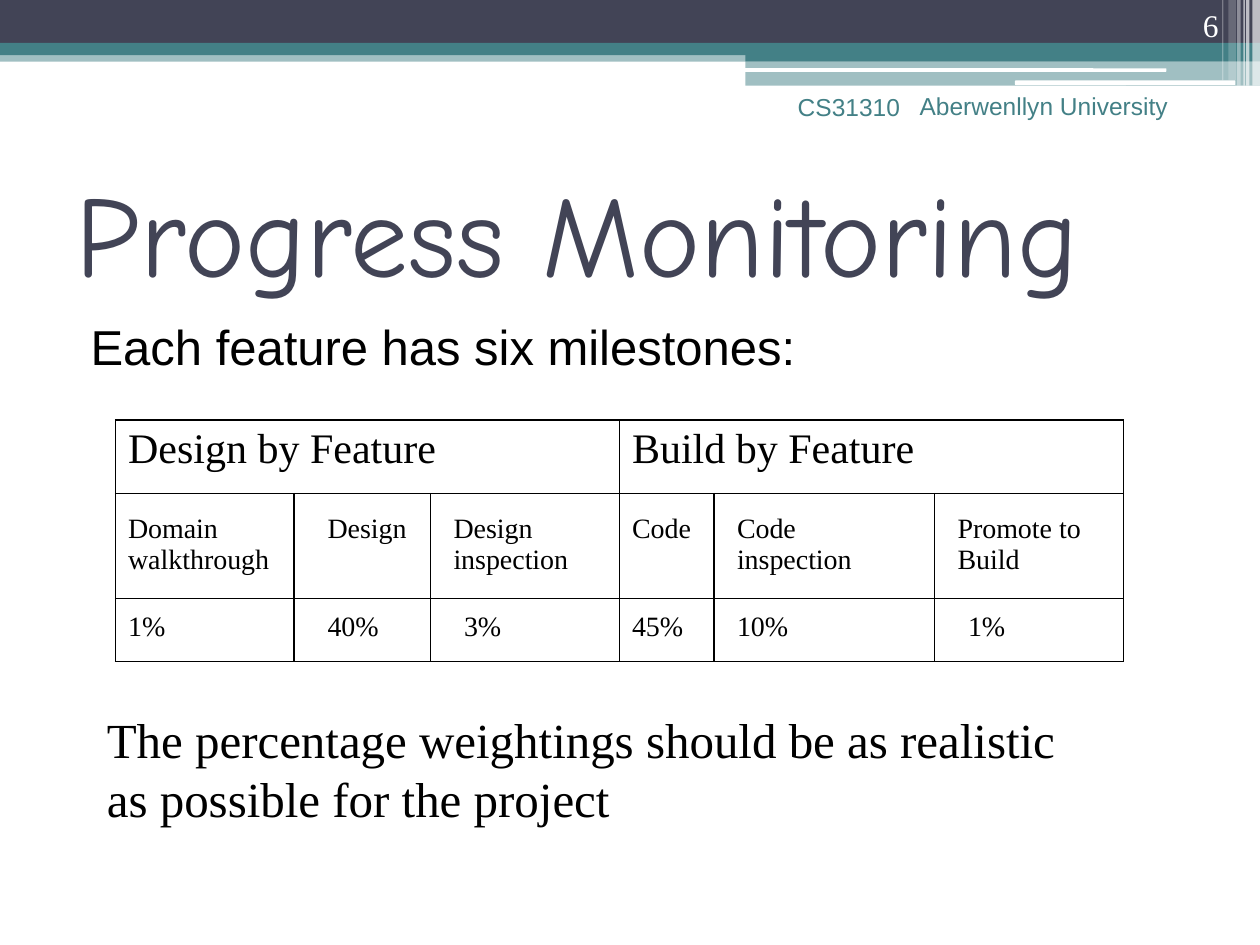
from lxml import etree
from pptx import Presentation
from pptx.dml.color import RGBColor
from pptx.enum.shapes import MSO_SHAPE
from pptx.enum.text import MSO_ANCHOR, MSO_AUTO_SIZE, PP_ALIGN
from pptx.oxml.ns import qn
from pptx.util import Pt

RECTANGLE, ROUNDED = MSO_SHAPE.RECTANGLE, MSO_SHAPE.ROUNDED_RECTANGLE
TOP, MIDDLE, BOTTOM = MSO_ANCHOR.TOP, MSO_ANCHOR.MIDDLE, MSO_ANCHOR.BOTTOM
LEFT, RIGHT = PP_ALIGN.LEFT, PP_ALIGN.RIGHT
NO_AUTOFIT = MSO_AUTO_SIZE.NONE

NAVY = RGBColor(0x42, 0x44, 0x56)
TEAL = RGBColor(0x43, 0x80, 0x86)
WHITE = RGBColor(0xFF, 0xFF, 0xFF)
BLACK = RGBColor(0x00, 0x00, 0x00)

SANS, SERIF, HAND = "Arial", "Times New Roman", "Comic Neue"


class SlideBuilder:
    """Draws styled elements on one slide, with all lengths in points."""

    def __init__(self, slide):
        self.slide = slide

    def place(self, shape, box):
        shape.left, shape.top, shape.width, shape.height = map(Pt, box)

    def style_text(self, frame, text, size, font, color, align=LEFT, anchor=TOP):
        frame.text = text
        frame.word_wrap = True
        frame.vertical_anchor = anchor
        paragraph = frame.paragraphs[0]
        paragraph.alignment = align
        for run in paragraph.runs:
            run.font.size = Pt(size)
            run.font.name = font
            run.font.color.rgb = color
        return paragraph

    def band(self, box, color, opacity=100, kind=RECTANGLE):
        shape = self.slide.shapes.add_shape(kind, *map(Pt, box))
        shape.shadow.inherit = False
        shape.line.fill.background()
        shape.fill.solid()
        shape.fill.fore_color.rgb = color
        if opacity < 100:
            fill_color = shape._element.spPr.find(".//" + qn("a:srgbClr"))
            etree.SubElement(fill_color, qn("a:alpha"), val=str(opacity * 1000))

    def text(self, box, text, size, font, color, **layout):
        shape = self.slide.shapes.add_textbox(*map(Pt, box))
        self.style_text(shape.text_frame, text, size, font, color, **layout)

    def title(self, box, text):
        shape = self.slide.shapes.title
        self.place(shape, box)
        self.style_text(shape.text_frame, text, 66, HAND, NAVY, anchor=MIDDLE)
        shape.text_frame.auto_size = NO_AUTOFIT

    def body(self, box, text):
        shape = self.slide.placeholders[1]
        self.place(shape, box)
        paragraph = self.style_text(shape.text_frame, text, 28, SANS, BLACK)
        shape.text_frame.auto_size = NO_AUTOFIT
        paragraph.space_before = Pt(12)
        properties = paragraph._p.get_or_add_pPr()
        properties.set("marL", str(Pt(28.8)))
        properties.set("indent", str(Pt(-20.2)))
        etree.SubElement(properties, qn("a:buNone"))

    def border(self, cell):
        properties = cell._tc.get_or_add_tcPr()
        for position, side in enumerate(("lnL", "lnR", "lnT", "lnB")):
            line = etree.Element(qn("a:" + side), w=str(Pt(0.75)))
            fill = etree.SubElement(line, qn("a:solidFill"))
            etree.SubElement(fill, qn("a:srgbClr"), val=str(BLACK))
            properties.insert(position, line)

    def table(self, left, top, widths, heights):
        box = (left, top, sum(widths), sum(heights))
        table = self.slide.shapes.add_table(
            len(heights), len(widths), *map(Pt, box)).table
        table.first_row = table.horz_banding = False
        for column, width in zip(table.columns, widths):
            column.width = Pt(width)
        for row, height in zip(table.rows, heights):
            row.height = Pt(height)
        for cell in table.iter_cells():
            cell.fill.background()
            self.border(cell)
        return table

    def cell(self, cell, text, size, left, top, right=7.2):
        cell.margin_left, cell.margin_right = Pt(left), Pt(right)
        cell.margin_top, cell.margin_bottom = Pt(top), Pt(3.6)
        self.style_text(cell.text_frame, text, size, SERIF, BLACK)
        cell.vertical_anchor = TOP


presentation = Presentation()
presentation.slide_width, presentation.slide_height = Pt(720), Pt(540)
builder = SlideBuilder(presentation.slides.add_slide(presentation.slide_layouts[1]))

HEADER_BANDS = [
    ((0, 28.8, 720, 6.5), TEAL, 50),
    ((0, 0, 720, 24.5), NAVY, 100),
    ((0, 24.5, 720, 7), TEAL, 100),
    ((426, 28, 294, 7), TEAL, 100),
    ((426, 35, 294, 14), TEAL, 50),
]
for box, color, opacity in HEADER_BANDS:
    builder.band(box, color, opacity)
for box in ((425.5, 39, 241, 2), (580, 46, 126, 2.6)):
    builder.band(box, WHITE, kind=ROUNDED)

STRIPES = [(715.7, 4.3, 49, 65), (712, 2, 49, 65), (710.6, 0.8, 49, 60),
           (707, 2, 49, 40), (702, 4.3, 46, 20), (698.4, 0.8, 46, 30)]
for left, width, height, opacity in STRIPES:
    builder.band((left, 0, width, height), WHITE, opacity)

builder.title((36, 90, 648, 84), "Progress Monitoring")
builder.body((36, 177, 648, 340.5), "Each feature has six milestones:")
builder.text((518.4, 48.3, 164, 36), "Aberwenllyn University", 14, SANS, TEAL)
builder.text((417, 49, 104.4, 36), "CS31310", 14, SANS, TEAL, align=RIGHT)
builder.text((643.7, 0, 59.8, 28.8), "6", 18, SERIF, WHITE, align=RIGHT, anchor=BOTTOM)

milestones = builder.table(66, 240, (102, 78, 108, 54, 126, 108), (42, 60, 36))
for first, stage in ((0, "Design by Feature"), (3, "Build by Feature")):
    milestones.cell(0, first).merge(milestones.cell(0, first + 2))
    builder.cell(milestones.cell(0, first), stage, 24, 7.2, 3.6)

MILESTONES = [
    ("Domain walkthrough", 7.2, "1%", 7.2, 7.2),
    ("Design", 19.2, "40%", 19.2, 7.2),
    ("Design inspection", 13.2, "3%", 19.2, 7.2),
    ("Code", 7.2, "45%", 7.2, 7.2),
    ("Code inspection", 13.2, "10%", 13.2, 14.4),
    ("Promote to Build", 13.2, "1%", 19.2, 7.2),
]
for column, (name, name_left, weight, weight_left, right) in enumerate(MILESTONES):
    builder.cell(milestones.cell(1, column), name, 16, name_left, 11.6, right)
    builder.cell(milestones.cell(2, column), weight, 16, weight_left, 7.2, right)

builder.text((54, 402, 582, 74), "The percentage weightings should be as realistic "
             "as possible for the project", 28, SERIF, BLACK)

presentation.save("out.pptx")
